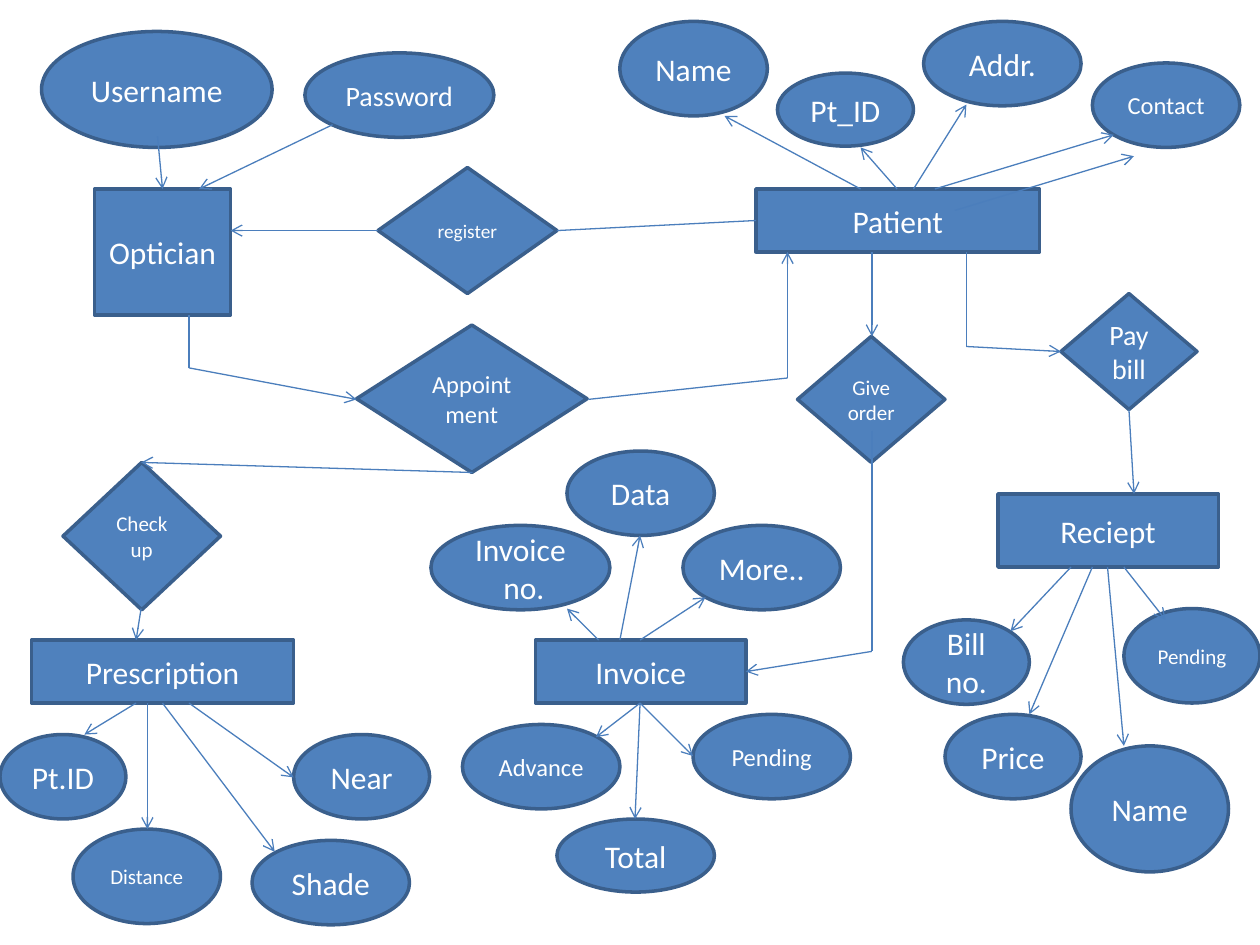
from typing import NamedTuple

from lxml import etree
from pptx import Presentation
from pptx.dml.color import RGBColor
from pptx.enum.shapes import MSO_CONNECTOR, MSO_SHAPE
from pptx.enum.text import MSO_ANCHOR, PP_ALIGN
from pptx.oxml.ns import qn
from pptx.util import Inches, Pt

OVAL, RECT, RHOMB = MSO_SHAPE.OVAL, MSO_SHAPE.RECTANGLE, MSO_SHAPE.DIAMOND
STRAIGHT = MSO_CONNECTOR.STRAIGHT
MIDDLE, CENTER = MSO_ANCHOR.MIDDLE, PP_ALIGN.CENTER

BLUE = RGBColor(0x4F, 0x81, 0xBD)
EDGE = RGBColor(0x3A, 0x5F, 0x8C)
WIRE = RGBColor(0x4B, 0x7E, 0xBC)
WHITE = RGBColor(0xFF, 0xFF, 0xFF)
FONT = "Calibri"


class Node(NamedTuple):
    kind: MSO_SHAPE
    text: str
    left: float
    top: float
    width: float
    height: float
    size: int = 18


class Link(NamedTuple):
    points: list[tuple[float, float]]
    arrow: bool = True


class Fan(NamedTuple):
    """Arrows that leave one edge of an entity."""
    edge: float
    rays: list[tuple[float, float, float]]  # start x, end x, end y


NODES = [
    # Optician
    Node(OVAL, "Username", 0.33, 0.25, 1.83, 0.92),
    Node(OVAL, "Password", 2.42, 0.42, 1.5, 0.67, 16),
    Node(RECT, "Optician", 0.75, 1.5, 1.08, 1),
    # Patient
    Node(OVAL, "Name", 4.92, 0.17, 1.17, 0.75),
    Node(OVAL, "Pt_ID", 6.17, 0.58, 1.08, 0.58),
    Node(OVAL, "Addr.", 7.33, 0.17, 1.25, 0.67),
    Node(OVAL, "Contact", 8.67, 0.5, 1.17, 0.67, 14),
    Node(RECT, "Patient", 6, 1.5, 2.25, 0.5),
    # Relations
    Node(RHOMB, "register", 3, 1.33, 1.42, 1, 11),
    Node(RHOMB, "Appointment", 2.83, 2.58, 1.83, 1.17, 14),
    Node(RHOMB, "Checkup", 0.5, 3.67, 1.25, 1.17, 12),
    Node(RHOMB, "Pay\nbill", 8.42, 2.33, 1.08, 0.92, 16),
    Node(RHOMB, "Give\norder", 6.33, 2.67, 1.17, 1, 12),
    # Prescription
    Node(RECT, "Prescription", 0.25, 5.08, 2.08, 0.5),
    Node(OVAL, "Pt.ID", 0, 5.83, 1, 0.67),
    Node(OVAL, "Distance", 0.58, 6.58, 1.17, 0.75, 12),
    Node(OVAL, "Shade", 2, 6.67, 1.25, 0.67),
    Node(OVAL, "Near", 2.33, 5.83, 1.08, 0.67),
    # Invoice
    Node(OVAL, "Invoice\n no.", 3.42, 4.17, 1.42, 0.67),
    Node(OVAL, "Data", 4.5, 3.58, 1.17, 0.67),
    Node(OVAL, "More..", 5.42, 4.17, 1.25, 0.67),
    Node(RECT, "Invoice", 4.25, 5.08, 1.67, 0.5),
    Node(OVAL, "Advance", 3.67, 5.75, 1.25, 0.67, 14),
    Node(OVAL, "Total", 4.42, 6.5, 1.25, 0.58),
    Node(OVAL, "Pending", 5.5, 5.67, 1.25, 0.67, 14),
    # Receipt
    Node(RECT, "Reciept", 7.92, 3.92, 1.75, 0.58),
    Node(OVAL, "Bill no.", 7.17, 4.92, 1, 0.67),
    Node(OVAL, "Price", 7.5, 5.67, 1.08, 0.67),
    Node(OVAL, "Pending", 8.92, 4.83, 1.08, 0.75, 12),
    Node(OVAL, "Name", 8.5, 5.92, 1.25, 1),
]

LINKS = [
    Link([(1.25, 1.08), (1.29, 1.5)]),
    Link([(2.64, 0.99), (1.58, 1.5)]),
    Link([(3, 1.83), (1.83, 1.83)]),
    Link([(4.42, 1.83), (6, 1.75)], arrow=False),
    Link([(1.5, 2.5), (1.5, 2.92), (2.83, 3.17)]),
    Link([(4.67, 3.17), (6.25, 3), (6.25, 2)]),
    Link([(3.75, 3.75), (1.12, 3.67)]),
    Link([(1.12, 4.83), (1.08, 5.08)]),
    Link([(6.92, 2), (6.92, 2.67)]),
    Link([(6.92, 3.42), (6.92, 5.17), (5.92, 5.33)]),
    Link([(7.67, 2), (7.67, 2.75), (8.42, 2.79)]),
    Link([(8.96, 3.25), (9, 3.92)]),
    Link([(7.58, 1.67), (9, 1.24)]),
]

FANS = [
    # Patient
    Fan(1.5, [(6.83, 5.75, 0.92), (7.12, 6.83, 1.17),
              (7.25, 7.67, 0.83), (7.42, 8.84, 1.07)]),
    # Prescription
    Fan(5.58, [(1.08, 0.67, 5.83), (1.17, 1.17, 6.58),
               (1.29, 2.18, 6.76), (1.5, 2.33, 6.17)]),
    # Invoice, above and below
    Fan(5.08, [(4.75, 4.5, 4.83), (4.92, 5.08, 4.25), (5.08, 5.6, 4.74)]),
    Fan(5.58, [(5.08, 4.73, 5.85), (5.08, 5.04, 6.5), (5.08, 5.5, 6)]),
    # Receipt
    Fan(4.5, [(8.5, 8.02, 5.01), (8.67, 8.17, 5.67),
              (8.79, 8.92, 5.92), (8.92, 9.25, 4.92)]),
]


def draw_node(slide, node: Node) -> None:
    box = (Inches(v) for v in (node.left, node.top, node.width, node.height))
    shape = slide.shapes.add_shape(node.kind, *box)
    shape.shadow.inherit = False
    shape.fill.solid()
    shape.fill.fore_color.rgb = BLUE
    shape.line.color.rgb = EDGE
    shape.line.width = Pt(2)
    frame = shape.text_frame
    frame.word_wrap = True
    frame.vertical_anchor = MIDDLE
    frame.text = node.text
    for para in frame.paragraphs:
        para.alignment = CENTER
        for run in para.runs:
            run.font.name = FONT
            run.font.size = Pt(node.size)
            run.font.color.rgb = WHITE


def draw_link(slide, link: Link) -> None:
    for start, end in zip(link.points, link.points[1:]):
        ends = (Inches(v) for v in (*start, *end))
        wire = slide.shapes.add_connector(STRAIGHT, *ends)
        wire.line.color.rgb = WIRE
        wire.line.width = Pt(0.75)
        props = wire._element.spPr
        etree.SubElement(props, qn("a:effectLst"))
        if link.arrow and end == link.points[-1]:
            tail = etree.SubElement(props.find(qn("a:ln")), qn("a:tailEnd"))
            tail.set("type", "arrow")


deck = Presentation()
deck.slide_width, deck.slide_height = Inches(10), Inches(7.5)
slide = deck.slides.add_slide(deck.slide_layouts[6])

# Entities, attributes and relations
for node in NODES:
    draw_node(slide, node)

# Links between them
for link in LINKS:
    draw_link(slide, link)
for fan in FANS:
    for start, end, level in fan.rays:
        draw_link(slide, Link([(start, fan.edge), (end, level)]))

deck.save("out.pptx")
